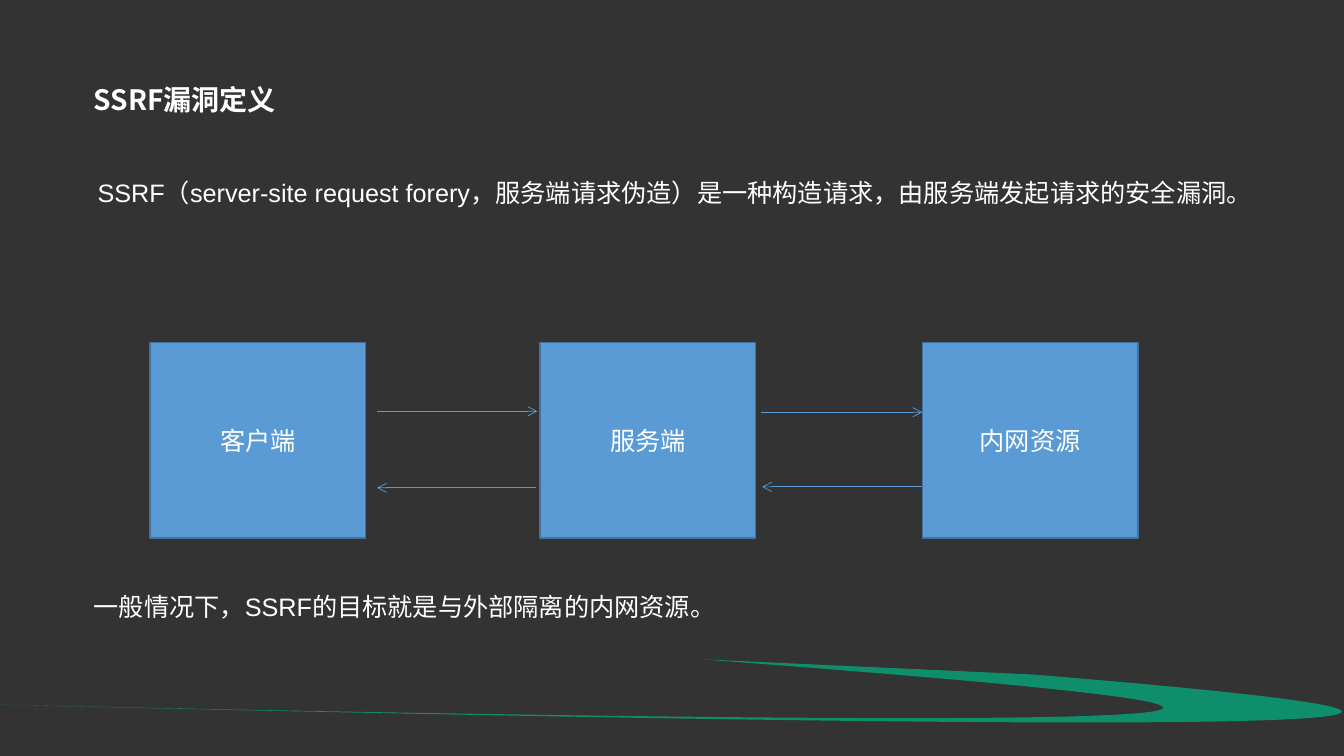
"""Build the slide that defines the SSRF vulnerability."""
import math
from dataclasses import dataclass

from lxml import etree
from pptx import Presentation
from pptx import util as u
from pptx.dml.color import RGBColor
from pptx.enum import lang, shapes, text
from pptx.oxml import ns


@dataclass(frozen=True)
class Theme:
    background: str = "FFFFFF"
    veil: str = "000000"
    veil_alpha: int = 55000
    ink: str = "FFFFFF"
    box: str = "5B9BD5"
    box_edge: str = "43739E"
    swoosh: str = "00B683"
    swoosh_alpha: int = 70000
    latin: str = "Arial"
    chinese: str = "Noto Sans CJK SC"
    title_size: int = 20
    body_size: int = 18


@dataclass(frozen=True)
class Node:
    label: str
    left: float


@dataclass(frozen=True)
class Arrow:
    start: float
    end: float
    row: float


@dataclass(frozen=True)
class Sentence:
    wording: str
    left: float
    top: float


THEME = Theme()
WIDTH, HEIGHT = u.Inches(13.33), u.Inches(7.5)
TEXT_WIDTH, TITLE_HEIGHT, SENTENCE_HEIGHT = 86.95, 5.87, 5.33
NODE_TOP, NODE_WIDTH, NODE_HEIGHT = 45.33, 16.05, 25.87
VEIL_COUNT, VEIL_WIDTH = 2, 100.22

TITLE = Sentence("SSRF漏洞定义", 6.23, 10.27)
SENTENCES = (
    Sentence("SSRF（server-site request forery，服务端请求伪造）"
             "是一种构造请求，由服务端发起请求的安全漏洞。", 6.53, 22.8),
    Sentence("一般情况下，SSRF的目标就是与外部隔离的内网资源。", 6.23, 77.6),
)
NODES = (Node("客户端", 11.16), Node("服务端", 40.19), Node("内网资源", 68.62))
ARROWS = (
    Arrow(28.06, 39.98, 54.4),
    Arrow(56.64, 68.62, 54.53),
    Arrow(68.62, 56.71, 64.4),
    Arrow(39.91, 28.06, 64.53),
)
SWOOSH_LEFT, SWOOSH_TOP, SWOOSH_WIDTH, SWOOSH_HEIGHT = -0.38, 86.93, 100.22, 10.27
SWOOSH_TURN = 182.6
SWOOSH_STEPS = (
    ("moveTo", ((76.74, 89.2),)),
    ("cubicBezTo", ((125.58, 96.27), (95.65, 97.2), (-0.45, 93.2))),
    ("cubicBezTo", ((124.16, 98), (88.97, 92.13), (52.14, 87.2))),
    ("lnTo", ((76.74, 89.2),)),
    ("close", ()),
)


def across(share: float) -> int:
    """Turn a percentage of the slide's width into a length."""
    return round(WIDTH * share / 100)


def down(share: float) -> int:
    """Turn a percentage of the slide's height into a length."""
    return round(HEIGHT * share / 100)


def paint(shape, colour: str, alpha: int = 100000) -> None:
    """Fill a shape, translucent where alpha is below the full value."""
    shape.shadow.inherit = False
    shape.fill.solid()
    shape.fill.fore_color.rgb = RGBColor.from_string(colour)
    if alpha < 100000:
        tag = shape._element.spPr.find(ns.qn("a:solidFill"))[0]
        etree.SubElement(tag, ns.qn("a:alpha"), val=str(alpha))


def write(frame, wording: str, size: int, latin: str, bold: bool = False) -> None:
    """Put one formatted paragraph into a text frame."""
    frame.text = wording
    frame.word_wrap = True
    for span in frame.paragraphs[0].runs:
        font = span.font
        font.size, font.name, font.bold = u.Pt(size), latin, bold
        font.color.rgb = RGBColor.from_string(THEME.ink)
        font.language_id = lang.MSO_LANGUAGE_ID.SIMPLIFIED_CHINESE
        latin_tag = font._element.find(ns.qn("a:latin"))
        latin_tag.addnext(etree.Element(ns.qn("a:ea"), typeface=THEME.chinese))


def add_veil(page) -> None:
    """Darken the whole page with one translucent layer."""
    veil = page.shapes.add_shape(shapes.MSO_SHAPE.RECTANGLE, 0, 0,
                                 across(VEIL_WIDTH), HEIGHT)
    paint(veil, THEME.veil, THEME.veil_alpha)
    veil.line.fill.background()


def add_swoosh(page) -> None:
    """Add the translucent green sweep along the bottom."""
    left, top = across(SWOOSH_LEFT), down(SWOOSH_TOP)
    width, height = across(SWOOSH_WIDTH), down(SWOOSH_HEIGHT)
    builder = page.shapes.build_freeform(left, top)
    builder.add_line_segments([(left + width, top + height)])
    swoosh = builder.convert_to_shape()
    outline = next(swoosh._element.iter(ns.qn("a:path")))
    for step in list(outline):
        outline.remove(step)
    cosine = math.cos(math.radians(SWOOSH_TURN))
    sine = math.sin(math.radians(SWOOSH_TURN))
    for kind, points in SWOOSH_STEPS:
        step = etree.SubElement(outline, ns.qn(f"a:{kind}"))
        for x, y in points:
            dx = across(x) - left - width / 2
            dy = down(y) - top - height / 2
            etree.SubElement(step, ns.qn("a:pt"),
                             x=str(round(width / 2 + dx * cosine + dy * sine)),
                             y=str(round(height / 2 - dx * sine + dy * cosine)))
    swoosh.rotation = SWOOSH_TURN
    paint(swoosh, THEME.swoosh, THEME.swoosh_alpha)
    swoosh.line.fill.background()


def add_title(page) -> None:
    """Move and format the title placeholder, in front of the backdrop."""
    title = page.shapes.title
    title.left, title.top = across(TITLE.left), down(TITLE.top)
    title.width, title.height = across(TEXT_WIDTH), down(TITLE_HEIGHT)
    frame = title.text_frame
    write(frame, TITLE.wording, THEME.title_size, THEME.chinese, bold=True)
    frame.auto_size = text.MSO_AUTO_SIZE.SHAPE_TO_FIT_TEXT
    frame.vertical_anchor = text.MSO_ANCHOR.TOP
    frame.paragraphs[0].alignment = text.PP_ALIGN.LEFT
    title._element.getparent().append(title._element)


def add_sentence(page, sentence: Sentence) -> None:
    """Add one line of body text."""
    box = page.shapes.add_textbox(across(sentence.left), down(sentence.top),
                                  across(TEXT_WIDTH), down(SENTENCE_HEIGHT))
    write(box.text_frame, sentence.wording, THEME.body_size, THEME.latin)
    box.text_frame.auto_size = text.MSO_AUTO_SIZE.SHAPE_TO_FIT_TEXT


def add_node(page, node: Node) -> None:
    """Add one labelled box of the request chain."""
    box = page.shapes.add_shape(shapes.MSO_SHAPE.RECTANGLE, across(node.left),
                                down(NODE_TOP), across(NODE_WIDTH), down(NODE_HEIGHT))
    paint(box, THEME.box)
    box.line.color.rgb = RGBColor.from_string(THEME.box_edge)
    box.line.width = u.Pt(1)
    write(box.text_frame, node.label, THEME.body_size, THEME.latin)
    box.text_frame.vertical_anchor = text.MSO_ANCHOR.MIDDLE
    box.text_frame.paragraphs[0].alignment = text.PP_ALIGN.CENTER


def add_arrow(page, arrow: Arrow) -> None:
    """Add one horizontal arrow with an open head at its end."""
    line = page.shapes.add_connector(shapes.MSO_CONNECTOR.STRAIGHT,
                                     across(arrow.start), down(arrow.row),
                                     across(arrow.end), down(arrow.row))
    line.line.color.rgb = RGBColor.from_string(THEME.box)
    line.line.width = u.Pt(0.5)
    etree.SubElement(line.line._get_or_add_ln(), ns.qn("a:tailEnd"), type="arrow")
    etree.SubElement(line._element.spPr, ns.qn("a:effectLst"))


def main() -> None:
    """Build and save the deck."""
    deck = Presentation()
    deck.slide_width, deck.slide_height = WIDTH, HEIGHT
    page = deck.slides.add_slide(deck.slide_layouts[5])
    page.background.fill.solid()
    page.background.fill.fore_color.rgb = RGBColor.from_string(THEME.background)
    for _ in range(VEIL_COUNT):
        add_veil(page)
    add_swoosh(page)
    add_title(page)
    for add, items in ((add_node, NODES), (add_arrow, ARROWS), (add_sentence, SENTENCES)):
        for item in items:
            add(page, item)
    deck.save("out.pptx")


if __name__ == "__main__":
    main()
